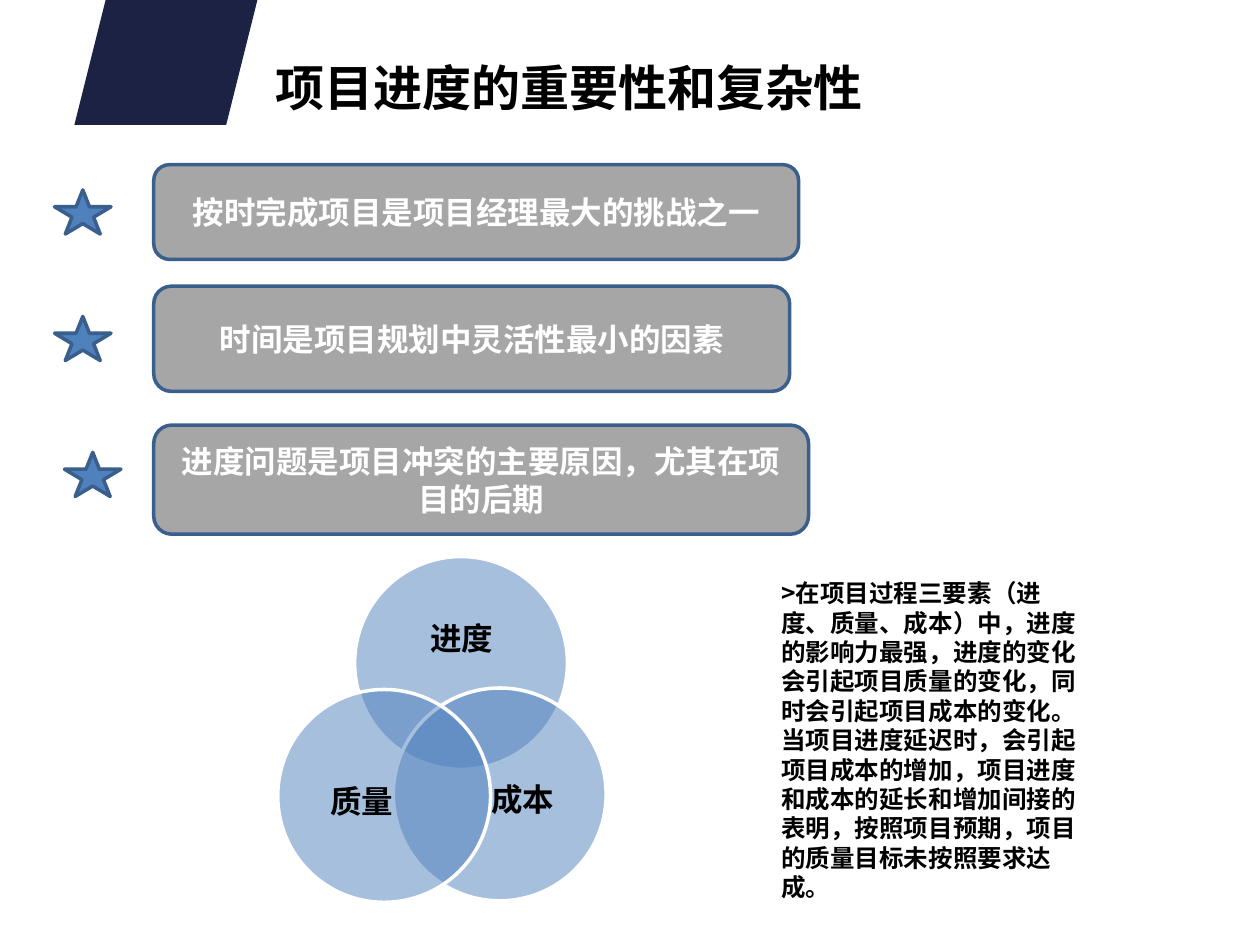
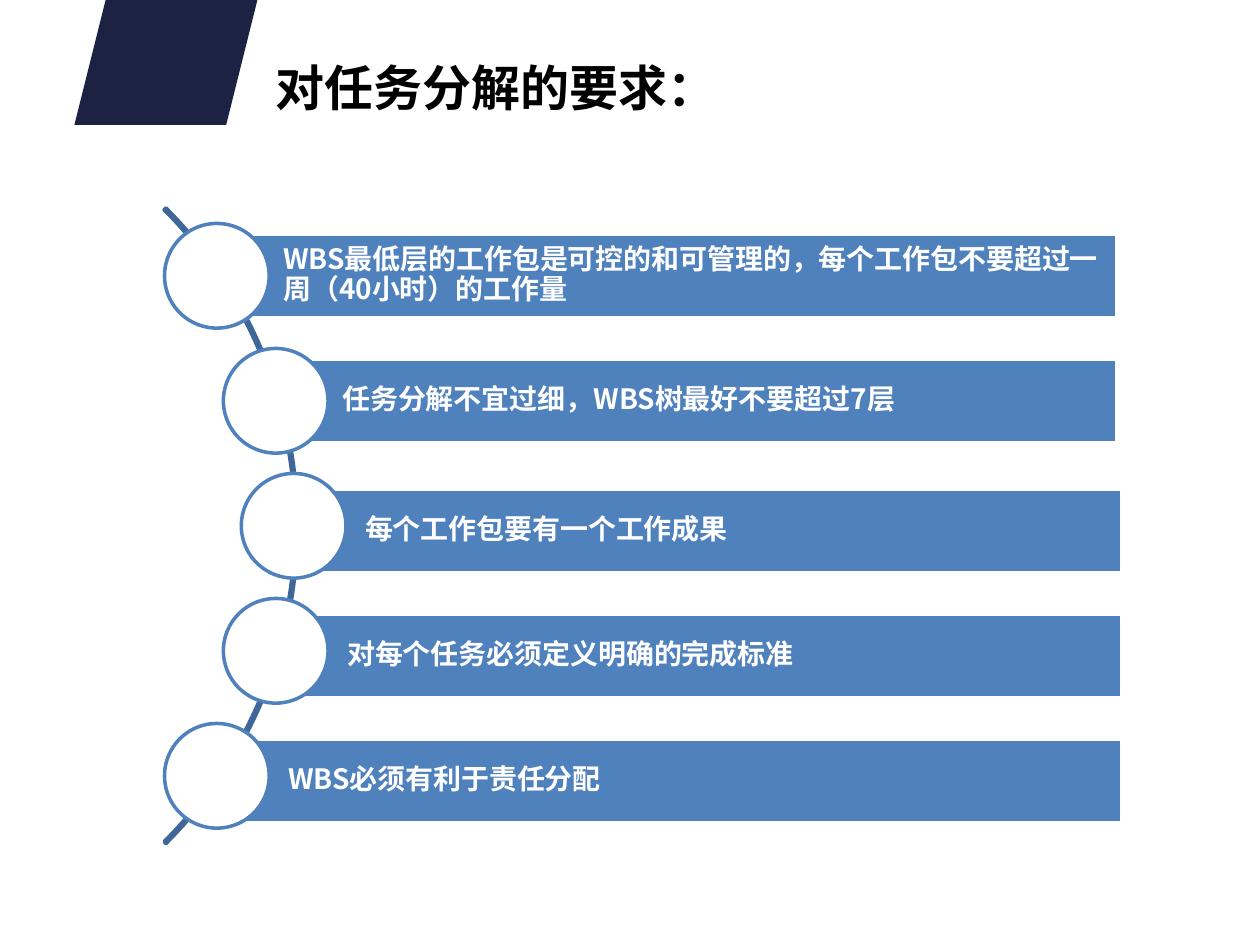
from math import sqrt

from lxml import etree
from pptx import Presentation
from pptx import util as u
from pptx.dml.color import RGBColor
from pptx.enum import shapes, text
from pptx.oxml.ns import qn

# Shared look
FONT = "Noto Sans CJK SC"
NAVY, BLUE, EDGE, ARC = "1B2244", "4F81BD", "3A5F8C", "3F6797"
GREY, WHITE, BLACK = "A6A6A6", "FFFFFF", "000000"
KIND = shapes.MSO_SHAPE
ALIGN, ANCHOR = text.PP_ALIGN, text.MSO_ANCHOR


def rgb(hex_colour):
    return RGBColor.from_string(hex_colour)


def write(sp, words, size, colour=BLACK, align=ALIGN.LEFT, anchor=ANCHOR.MIDDLE,
          insets=None, spacing=None, font=FONT):
    """Fill a shape with one bold paragraph; insets are left, top, right, bottom."""
    tf = sp.text_frame
    tf.word_wrap = True
    tf.vertical_anchor = anchor
    if insets:
        (tf.margin_left, tf.margin_top,
         tf.margin_right, tf.margin_bottom) = map(u.Cm, insets)
    tf.text = words
    p = tf.paragraphs[0]
    p.alignment = align
    if spacing:
        p.line_spacing = spacing
    # Keep punctuation inside the box
    p._p.get_or_add_pPr().set("hangingPunct", "0")
    r = p.runs[0]
    r.font.size, r.font.bold, r.font.name = u.Pt(size), True, font
    r.font.color.rgb = rgb(colour)
    # East Asian typeface
    etree.SubElement(r.font._element, qn("a:ea"), typeface=FONT)


def add_text(s, x, y, w, h, words, size, **style):
    write(s.shapes.add_textbox(*map(u.Cm, (x, y, w, h))), words, size, **style)


def add_shape(s, kind, x, y, w, h, fill=None, line=None, alpha=None):
    sp = s.shapes.add_shape(kind, *map(u.Cm, (x, y, w, h)))
    sp.shadow.inherit = False
    if fill:
        sp.fill.solid()
        sp.fill.fore_color.rgb = rgb(fill)
    else:
        sp.fill.background()
    if line:
        sp.line.color.rgb = rgb(line)
        sp.line.width = u.Pt(2)
    else:
        sp.line.fill.background()
    if alpha:
        colour = sp.fill._xPr.find(qn("a:solidFill"))[0]
        etree.SubElement(colour, qn("a:alpha"), val=str(alpha * 1000))
    return sp


def add_titled_slide(prs, title):
    s = prs.slides.add_slide(prs.slide_layouts[6])
    add_shape(s, KIND.PARALLELOGRAM, 1.5, 0, 3.69, 2.52, NAVY)
    add_text(s, 5.31, 1, 18.82, 1.5, title, 28)
    return s


def add_starred_points(s, left, top):
    # Star offset x, y; box offset y, width, height
    points = [
        ("按时完成项目是项目经理最大的挑战之一", 0, 0.51, 0, 13, 1.91),
        ("时间是项目规划中灵活性最小的因素", 0, 3.06, 2.45, 12.82, 2.12),
        ("进度问题是项目冲突的主要原因，尤其在项目的后期", 0.2, 5.8, 5.25, 13.2, 2.2),
    ]
    for words, star_x, star_y, box_y, w, h in points:
        add_shape(s, KIND.STAR_5_POINT, left + star_x, top + star_y, 1.14, 0.89, BLUE, EDGE)
        sp = add_shape(s, KIND.ROUNDED_RECTANGLE, left + 2, top + box_y, w, h, GREY, EDGE)
        write(sp, words, 18, WHITE, ALIGN.CENTER)


def add_venn(s, left, top, diameter=4.29):
    # Circle offset, then label box offset and size
    factors = [
        ("进度", FONT, (1.55, 0), (2.13, 0.73, 3.15, 1.93)),
        ("成本", "Calibri", (2.33, 2.65), (3.64, 3.76, 2.59, 2.36)),
        ("质量", FONT, (0, 2.68), (0.4, 3.79, 2.59, 2.36)),
    ]
    for words, font, (x, y), (label_x, label_y, w, h) in factors:
        add_shape(s, KIND.OVAL, left + x, top + y, diameter, diameter, BLUE, WHITE, alpha=50)
        add_text(s, left + label_x, top + label_y, w, h, words, 18, align=ALIGN.CENTER,
                 insets=(0, 0, 0, 0), spacing=0.9, font=font)


def add_arc_list(s, centre_x, centre_y, right):
    # Guide arc from -45 to 45 degrees
    radius = 9.06
    arc = add_shape(s, KIND.BLOCK_ARC, centre_x - radius, centre_y - radius,
                    2 * radius, 2 * radius, line=ARC)
    for i, value in enumerate((189, 27, 0.003)):
        arc.adjustments[i] = value

    # Each bar starts at the middle of its circle; the lower ones sit slightly off
    rules = [
        ("WBS最低层的工作包是可控的和可管理的，每个工作包不要超过一周（40小时）的工作量", 0),
        ("任务分解不宜过细，WBS树最好不要超过7层", 0),
        ("每个工作包要有一个工作成果", 0.1),
        ("对每个任务必须定义明确的完成标准", 0.1),
        ("WBS必须有利于责任分配", 0.1),
    ]
    step, bar_h, diameter, track = 2.52, 1.68, 2.11, 8.98
    for i, (words, nudge) in enumerate(rules):
        dy = (i - 2) * step
        x, y = centre_x + sqrt(track ** 2 - dy ** 2), centre_y + dy
        bar = add_shape(s, KIND.RECTANGLE, x + nudge, y - bar_h / 2 + nudge,
                        right - x, bar_h, BLUE, WHITE)
        write(bar, words, 16, WHITE, insets=(1.34, 0.1, 0.1, 0.12), spacing=0.9)
        add_shape(s, KIND.OVAL, x - diameter / 2, y - diameter / 2,
                  diameter, diameter, WHITE, BLUE)


def build_importance(prs):
    s = add_titled_slide(prs, "项目进度的重要性和复杂性")
    add_starred_points(s, 1.1, 3.32)
    add_venn(s, 5.6, 11.22)
    add_text(s, 15.5, 11.53, 6.6, 6.6,
             ">在项目过程三要素（进度、质量、成本）中，进度的影响力最强，"
             "进度的变化会引起项目质量的变化，同时会引起项目成本的变化。"
             "当项目进度延迟时，会引起项目成本的增加，项目进度和成本的延长和增加"
             "间接的表明，按照项目预期，项目的质量目标未按照要求达成。",
             14, anchor=ANCHOR.TOP)


def build_requirements(prs):
    s = add_titled_slide(prs, "对任务分解的要求：")
    add_arc_list(s, -3.06, 10.6, 22.52)


def main():
    prs = Presentation()
    prs.slide_width, prs.slide_height = u.Cm(25.4), u.Cm(19.05)
    build_importance(prs)
    build_requirements(prs)
    prs.save("out.pptx")


if __name__ == "__main__":
    main()
